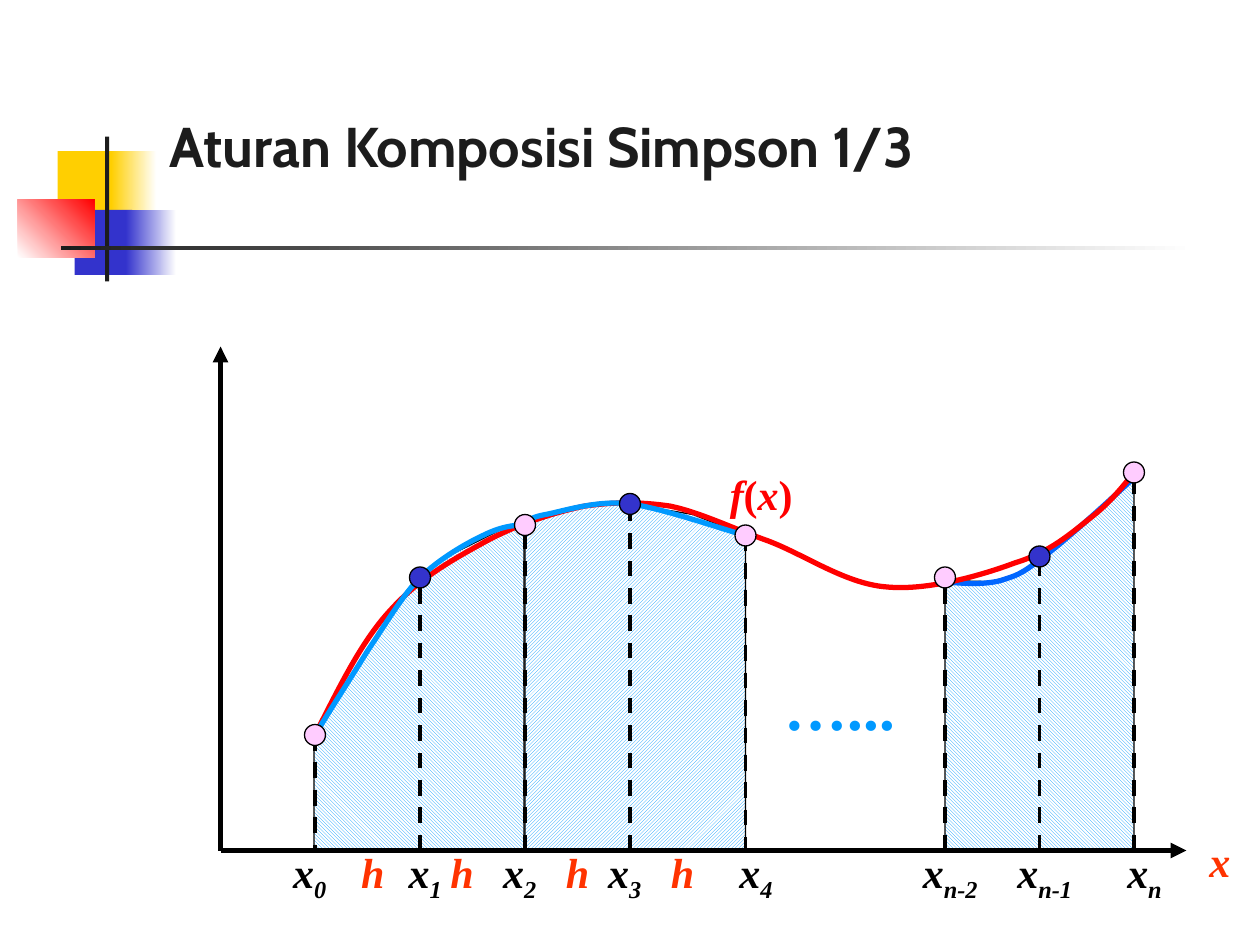
from dataclasses import dataclass

from lxml import etree
from pptx import Presentation
from pptx.dml.color import RGBColor
from pptx.enum.dml import MSO_LINE, MSO_PATTERN
from pptx.enum.shapes import MSO_CONNECTOR, MSO_SHAPE
from pptx.enum.text import MSO_ANCHOR, PP_ALIGN
from pptx.oxml.ns import qn
from pptx.util import Emu, Pt

RECTANGLE, OVAL = MSO_SHAPE.RECTANGLE, MSO_SHAPE.OVAL
STRAIGHT, DASH = MSO_CONNECTOR.STRAIGHT, MSO_LINE.DASH
DOWNWARD = MSO_PATTERN.DARK_DOWNWARD_DIAGONAL
UPWARD = MSO_PATTERN.DARK_UPWARD_DIAGONAL
CENTER, LEFT = PP_ALIGN.CENTER, PP_ALIGN.LEFT
TOP, BOTTOM = MSO_ANCHOR.TOP, MSO_ANCHOR.BOTTOM

EMU_PER_PX = 7620
BASELINE = 810
AXIS_LEFT = 210
MARKER = 20
LABEL_TOP, LABEL_HEIGHT = 800, 60


@dataclass(frozen=True)
class Theme:
    black: str = "000000"
    white: str = "FFFFFF"
    ink: str = "1C1C1C"
    yellow: str = "FFCF01"
    blue: str = "3333CC"
    red: str = "FF0000"
    orange: str = "FF3300"
    sky: str = "0099FF"
    azure: str = "0066FF"
    pink: str = "FFCCFF"
    title_font: str = "Cabin"
    math_font: str = "Times New Roman"
    title_size: int = 32
    math_size: int = 24
    dots_size: int = 36
    thin: float = 0.75
    dashed: float = 2.25
    thick: float = 3


THEME = Theme()


def px(value):
    return Emu(value * EMU_PER_PX)


def rgb(color):
    return RGBColor.from_string(color)


class SlideBuilder:
    def __init__(self, slide, theme):
        self.slide = slide
        self.theme = theme

    def outline(self, shape, color, width):
        shape.line.color.rgb = rgb(color)
        shape.line.width = Pt(width)

    def preset(self, kind, box, color):
        shape = self.slide.shapes.add_shape(kind, *map(px, box))
        shape.shadow.inherit = False
        shape.fill.solid()
        shape.fill.fore_color.rgb = rgb(color)
        return shape

    def block(self, box, color):
        shape = self.preset(RECTANGLE, box, color)
        shape.line.fill.background()
        return shape

    def fade(self, box, start, end, angle):
        fill = self.block(box, start).fill
        fill.gradient()
        fill.gradient_angle = angle
        for stop, color, position in zip(fill.gradient_stops, (start, end), (0, 1)):
            stop.color.rgb = rgb(color)
            stop.position = position

    def marker(self, x, y, color):
        box = (x - MARKER // 2, y - MARKER // 2, MARKER, MARKER)
        self.outline(self.preset(OVAL, box, color), self.theme.black, self.theme.thin)

    def freeform(self, points, close):
        first, *rest = points
        builder = self.slide.shapes.build_freeform(*first, scale=EMU_PER_PX)
        builder.add_line_segments(rest, close=close)
        shape = builder.convert_to_shape()
        shape.shadow.inherit = False
        return shape

    def area(self, top_points, pattern):
        left, right = top_points[0][0], top_points[-1][0]
        shape = self.freeform([(left, BASELINE), *top_points, (right, BASELINE)], True)
        shape.fill.patterned()
        shape.fill.pattern = pattern
        shape.fill.fore_color.rgb = rgb(self.theme.sky)
        shape.fill.back_color.rgb = rgb(self.theme.white)
        self.outline(shape, self.theme.black, self.theme.thin)

    def curve(self, start, segments, color):
        points = [pair for segment in segments for pair in zip(segment[::2], segment[1::2])]
        shape = self.freeform([start, *points], False)
        outline_path = next(shape._element.iter(qn("a:path")))
        lines = outline_path.findall(qn("a:lnTo"))
        for index in range(0, len(lines), 3):
            bezier = etree.SubElement(outline_path, qn("a:cubicBezTo"))
            for line in lines[index:index + 3]:
                bezier.append(line[0])
                outline_path.remove(line)
        shape.fill.background()
        self.outline(shape, color, self.theme.thick)

    def line(self, start, end, width, dash=None, arrow=False):
        connector = self.slide.shapes.add_connector(STRAIGHT, *map(px, (*start, *end)))
        self.outline(connector, self.theme.black, width)
        if dash:
            connector.line.dash_style = dash
        properties = connector._element.spPr
        if arrow:
            etree.SubElement(properties.find(qn("a:ln")), qn("a:tailEnd"), type="triangle")
        etree.SubElement(properties, qn("a:effectLst"))

    def text(self, box, runs, color, size=None, font=None, align=CENTER, anchor=TOP, spacing=None):
        frame = self.slide.shapes.add_textbox(*map(px, box)).text_frame
        frame.word_wrap = True
        frame.vertical_anchor = anchor
        paragraph = frame.paragraphs[0]
        paragraph.alignment = align
        paragraph.line_spacing = spacing
        for content, italic, subscript in runs:
            run = paragraph.add_run()
            run.text = content
            formats = {"name": font or self.theme.math_font, "bold": True,
                       "size": Pt(size or self.theme.math_size), "italic": italic}
            for attribute, value in formats.items():
                setattr(run.font, attribute, value)
            run.font.color.rgb = rgb(color)
            if subscript:
                run._r.get_or_add_rPr().set("baseline", "-25000")


DECORATION = [
    ((55, 144, 58, 62), THEME.yellow, None, 0),
    ((106, 144, 43, 62), THEME.yellow, THEME.white, 0),
    ((71, 200, 55, 62), THEME.blue, None, 0),
    ((120, 200, 48, 62), THEME.blue, THEME.white, 0),
    ((17, 190, 73, 55), THEME.white, THEME.red, 45),
    ((100, 130, 4, 138), THEME.ink, None, 0),
    ((58, 234, 1080, 4), THEME.ink, THEME.white, 0),
]
NODES = [
    (300, 700, "0", 260, 70, THEME.pink, (700, BASELINE)),
    (400, 550, "1", 370, 70, THEME.blue, (BASELINE, 550)),
    (500, 500, "2", 460, 70, THEME.pink, (BASELINE, 500)),
    (600, 480, "3", 560, 70, THEME.blue, (BASELINE, 480)),
    (710, 510, "4", 680, 80, THEME.pink, (510, BASELINE)),
    (900, 550, "n-2", 850, 110, THEME.pink, (560, BASELINE)),
    (990, 530, "n-1", 940, 110, THEME.blue, (BASELINE, 530)),
    (1080, 450, "n", 1050, 80, THEME.pink, (BASELINE, 450)),
]
STEP_LABELS = [(320, 70), (400, 80), (510, 80), (610, 80)]
LAST_AREA = ([(900, 553), (944, 554), (974, 545), (1008, 521), (1044, 487), (1080, 452)], DOWNWARD)
FIRST_AREA = ([(299, 704), (371, 586), (414, 536), (458, 514), (478, 504), (499, 499)], DOWNWARD)
SECOND_AREA = ([(500, 500), (560, 480), (600, 480), (660, 490), (710, 510)], UPWARD)
FUNCTION_CURVE = ((300, 700), [
    (323, 655, 344, 611, 372, 581), (400, 550, 433, 532, 464, 515),
    (494, 499, 528, 488, 557, 482), (586, 478, 610, 478, 638, 482),
    (667, 488, 697, 503, 731, 515), (766, 528, 805, 556, 844, 559),
    (883, 563, 935, 548, 967, 536), (1000, 526, 1020, 508, 1039, 493),
    (1057, 479, 1069, 464, 1080, 450)], THEME.red)
LAST_PARABOLA = ((898, 554), [
    (918, 556, 937, 557, 953, 553), (968, 548, 971, 548, 992, 532),
    (1013, 516, 1048, 485, 1081, 454)], THEME.azure)
FIRST_PARABOLA = ((300, 700), [
    (317, 672, 334, 646, 350, 620), (367, 595, 382, 569, 400, 550),
    (419, 532, 443, 518, 460, 510), (476, 502, 488, 500, 500, 500)], THEME.sky)
SECOND_PARABOLA = ((500, 500), [
    (502, 497, 503, 493, 520, 490), (536, 487, 569, 476, 600, 480),
    (631, 484, 691, 505, 710, 510)], THEME.sky)


def main():
    presentation = Presentation()
    presentation.slide_width, presentation.slide_height = px(1200), px(900)
    slide = presentation.slides.add_slide(presentation.slide_layouts[6])
    builder = SlideBuilder(slide, THEME)
    for box, start, end, angle in DECORATION:
        if end:
            builder.fade(box, start, end, angle)
        else:
            builder.block(box, start)
    builder.area(*LAST_AREA)
    builder.curve(*LAST_PARABOLA)
    builder.area(*FIRST_AREA)
    builder.area(*SECOND_AREA)
    builder.text((150, 100, 1050, 74), [("Aturan Komposisi Simpson 1/3", False, False)], THEME.ink,
                 THEME.title_size, THEME.title_font, LEFT, BOTTOM, 0.7)
    for end in ((1130, BASELINE), (AXIS_LEFT, 330)):
        builder.line((AXIS_LEFT, BASELINE), end, THEME.thick, arrow=True)
    builder.curve(*FUNCTION_CURVE)
    for x, y, subscript, left, width, color, (start, end) in NODES:
        builder.line((x, start), (x, end), THEME.dashed, DASH)
        builder.text((left, LABEL_TOP, width, LABEL_HEIGHT),
                     [("x", True, False), (subscript, True, True)], THEME.black)
    for left, width in STEP_LABELS:
        builder.text((left, LABEL_TOP, width, LABEL_HEIGHT), [("h", True, False)], THEME.orange)
    builder.text((1140, 790, 40, 60), [("x", True, False)], THEME.orange)
    builder.text((670, 440, 110, 60), [("f", True, False), ("(", False, False),
                                       ("x", True, False), (")", False, False)], THEME.red)
    builder.text((730, 630, 140, 84), [("…...", False, False)], THEME.sky, THEME.dots_size)
    for parabola in (FIRST_PARABOLA, SECOND_PARABOLA):
        builder.curve(*parabola)
    for x, y, subscript, left, width, color, dash_ends in NODES:
        builder.marker(x, y, color)
    presentation.save("out.pptx")


if __name__ == "__main__":
    main()
